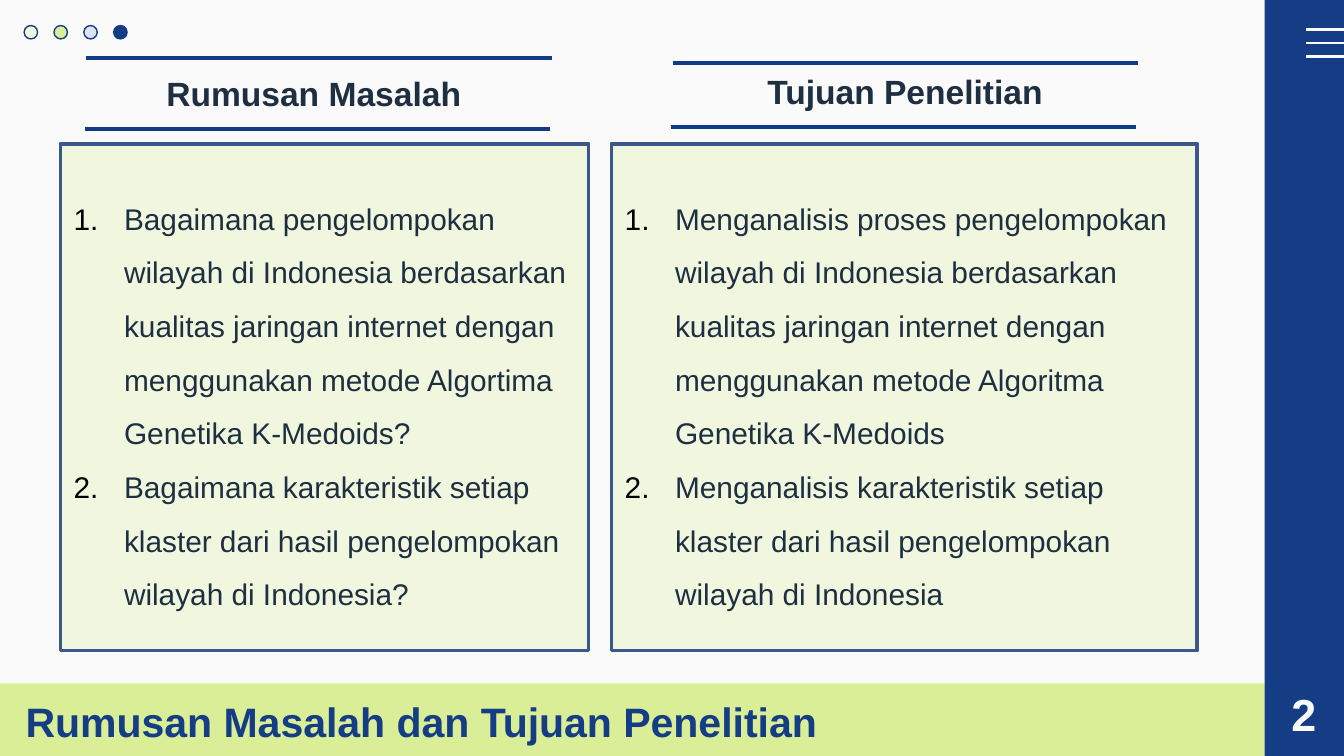
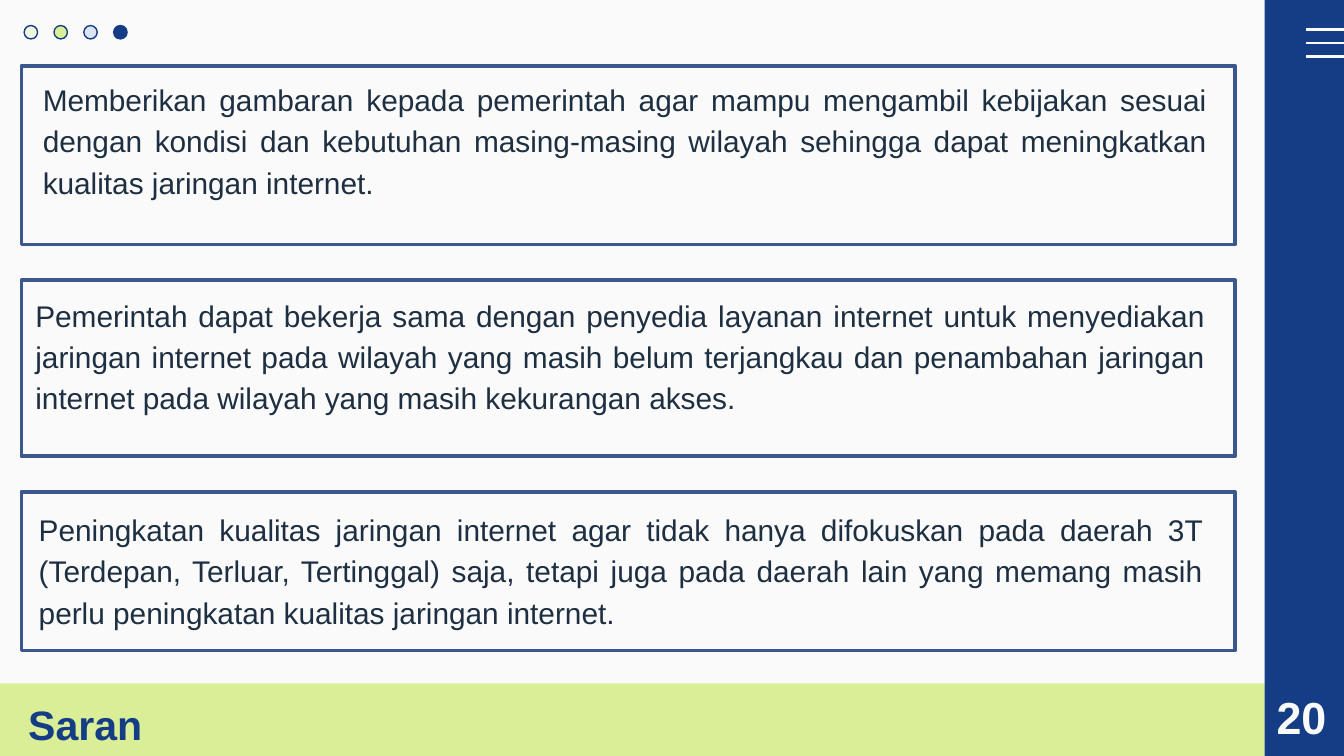
from dataclasses import dataclass

from lxml.etree import SubElement
from pptx import Presentation
from pptx.dml.color import RGBColor
from pptx.enum.shapes import MSO_CONNECTOR, MSO_SHAPE
from pptx.enum.text import MSO_ANCHOR, MSO_AUTO_SIZE, PP_ALIGN
from pptx.oxml.ns import qn
from pptx.util import Inches, Pt


@dataclass(frozen=True)
class Theme:
    font: str = "Arial"
    paper: str = "FAFAFA"
    navy: str = "153D85"
    rule: str = "123B85"
    border: str = "3A588E"
    lime: str = "DAEE97"
    pale: str = "F1F7DF"
    mist: str = "DCE4F2"
    ink: str = "1D2F41"
    black: str = "000000"
    body_size: int = 16
    heading_size: int = 18
    title_size: int = 22
    number_size: int = 24
    border_width: float = 2
    rule_width: float = 2.25
    menu_width: float = 1.5
    dot_width: float = 0.75


THEME = Theme()
COLUMNS = 100
ROWS = 56.25
CELL = Inches(10) / COLUMNS
INSET = 1
BAND_COLUMNS = 94.1
BAND_TOP = 50.85

QUESTIONS = {
    "title": ("Rumusan Masalah dan Tujuan Penelitian", (0.9, 50.4, 64.5, 6.1)),
    "number": ("2", (95.1, 50.6, 3.7, 5)),
    "panels": [
        {
            "heading": ("Rumusan Masalah", (10.7, 4.9, 25.3, 4)),
            "rules": [(6.4, 4.3), (6.3, 9.6)],
            "frame": (4.5, 10.7, 39.3, 37.7),
            "points": [
                "Bagaimana pengelompokan wilayah di Indonesia berdasarkan kualitas jaringan internet dengan menggunakan metode Algortima Genetika K-Medoids?",
                "Bagaimana karakteristik setiap klaster dari hasil pengelompokan wilayah di Indonesia?",
            ],
        },
        {
            "heading": ("Tujuan Penelitian", (54.7, 4.8, 25.3, 4)),
            "rules": [(50.05, 4.7), (49.9, 9.45)],
            "frame": (45.5, 10.7, 43.6, 37.7),
            "points": [
                "Menganalisis proses pengelompokan wilayah di Indonesia berdasarkan kualitas jaringan internet dengan menggunakan metode Algoritma Genetika K-Medoids",
                "Menganalisis karakteristik setiap klaster dari hasil pengelompokan wilayah di Indonesia",
            ],
        },
    ],
}

ADVICE = {
    "title": ("Saran", (1.1, 50.6, 45.4, 6.1)),
    "number": ("20", (94, 50.8, 6.3, 5)),
    "boxes": [
        (
            "Memberikan gambaran kepada pemerintah agar mampu mengambil kebijakan sesuai dengan kondisi dan kebutuhan masing-masing wilayah sehingga dapat meningkatkan kualitas jaringan internet.",
            (1.6, 4.9, 90.3, 13.3),
            (2.2, 4.7, 88.6, 7.3),
        ),
        (
            "Pemerintah dapat bekerja sama dengan penyedia layanan internet untuk menyediakan jaringan internet pada wilayah yang masih belum terjangkau dan penambahan jaringan internet pada wilayah yang masih kekurangan akses.",
            (1.6, 20.85, 90.3, 13.1),
            (1.65, 20.75, 89, 7.9),
        ),
        (
            "Peningkatan kualitas jaringan internet agar tidak hanya difokuskan pada daerah 3T (Terdepan, Terluar, Tertinggal) saja, tetapi juga pada daerah lain yang memang masih perlu peningkatan kualitas jaringan internet.",
            (1.6, 36.6, 90.3, 11.8),
            (1.9, 36.7, 88.6, 6.6),
        ),
    ],
}


def cells(*counts):
    return [int(count * CELL) for count in counts]


def color(value):
    return RGBColor.from_string(value)


def add_block(page, kind, place, fill=None, line=None, width=1):
    block = page.shapes.add_shape(kind, *cells(*place))
    block.shadow.inherit = False
    if fill:
        block.fill.solid()
        block.fill.fore_color.rgb = color(fill)
    else:
        block.fill.background()
    if line:
        block.line.color.rgb = color(line)
        block.line.width = Pt(width)
    else:
        block.line.fill.background()
    return block


def add_rule(page, left, top, length, line, width):
    rule = page.shapes.add_connector(
        MSO_CONNECTOR.STRAIGHT, *cells(left, top, left + length, top)
    )
    rule.line.color.rgb = color(line)
    rule.line.width = Pt(width)
    SubElement(rule.element.spPr, qn("a:effectLst"))


def write(para, text, size, ink, bold=False, align=PP_ALIGN.LEFT, spacing=1.0):
    para.alignment = align
    para.line_spacing = spacing
    span = para.add_run()
    span.text = text
    span.font.name = THEME.font
    span.font.size = Pt(size)
    span.font.bold = bold
    span.font.color.rgb = color(ink)


def pad(frame):
    frame.margin_left = frame.margin_right = cells(INSET)[0]
    frame.margin_top = frame.margin_bottom = cells(INSET)[0]


def add_text(page, text, place, size, ink, padded=False, **style):
    box = page.shapes.add_textbox(*cells(*place))
    frame = box.text_frame
    frame.word_wrap = True
    if padded:
        pad(frame)
    write(frame.paragraphs[0], text, size, ink, **style)


def number_point(para):
    properties = para._p.get_or_add_pPr()
    indent = cells(3.75)[0]
    properties.set("marL", str(indent))
    properties.set("indent", str(-indent))
    bullet_color = SubElement(properties, qn("a:buClr"))
    SubElement(bullet_color, qn("a:srgbClr"), val=THEME.black)
    SubElement(properties, qn("a:buFont"), typeface=THEME.font)
    SubElement(properties, qn("a:buAutoNum"), type="arabicPeriod")


def place_title(page, text, place):
    title = page.shapes.title
    title.left, title.top, title.width, title.height = cells(*place)
    frame = title.text_frame
    frame.word_wrap = True
    frame.auto_size = MSO_AUTO_SIZE.NONE
    frame.vertical_anchor = MSO_ANCHOR.BOTTOM
    pad(frame)
    write(frame.paragraphs[0], text, THEME.title_size, THEME.navy, bold=True, spacing=1.15)
    title.element.getparent().append(title.element)


def start_page(deck, content):
    page = deck.slides.add_slide(deck.slide_layouts[5])
    page.background.fill.solid()
    page.background.fill.fore_color.rgb = color(THEME.paper)
    band = (0, BAND_TOP, BAND_COLUMNS, ROWS - BAND_TOP)
    rail = (BAND_COLUMNS, 0, COLUMNS - BAND_COLUMNS, ROWS)
    add_block(page, MSO_SHAPE.RECTANGLE, band, THEME.lime)
    add_block(page, MSO_SHAPE.RECTANGLE, rail, THEME.navy)
    for step in range(3):
        add_rule(page, 97.2, 2.2 + step, 2.8, THEME.paper, THEME.menu_width)
    for step, fill in enumerate((THEME.pale, THEME.lime, THEME.mist, THEME.navy)):
        dot = (1.8 + 2.22 * step, 1.9, 1, 1)
        add_block(page, MSO_SHAPE.OVAL, dot, fill, THEME.navy, THEME.dot_width)
    place_title(page, *content["title"])
    add_text(page, *content["number"], THEME.number_size, THEME.paper, bold=True)
    return page


def add_panel(page, panel):
    block = add_block(
        page, MSO_SHAPE.RECTANGLE, panel["frame"], THEME.pale, THEME.border, THEME.border_width
    )
    frame = block.text_frame
    frame.word_wrap = True
    frame.vertical_anchor = MSO_ANCHOR.MIDDLE
    for index, point in enumerate(panel["points"]):
        para = frame.add_paragraph() if index else frame.paragraphs[0]
        write(para, point, THEME.body_size, THEME.ink, spacing=1.5)
        number_point(para)
    for left, top in panel["rules"]:
        add_rule(page, left, top, 34.65, THEME.rule, THEME.rule_width)
    add_text(
        page, *panel["heading"], THEME.heading_size, THEME.ink, bold=True, align=PP_ALIGN.CENTER
    )


def main():
    deck = Presentation()
    deck.slide_width, deck.slide_height = cells(COLUMNS, ROWS)

    page = start_page(deck, QUESTIONS)
    for panel in QUESTIONS["panels"]:
        add_panel(page, panel)

    page = start_page(deck, ADVICE)
    for text, frame, place in ADVICE["boxes"]:
        add_block(
            page, MSO_SHAPE.RECTANGLE, frame, line=THEME.border, width=THEME.border_width
        )
        add_text(
            page, text, place, THEME.body_size, THEME.ink,
            padded=True, align=PP_ALIGN.JUSTIFY, spacing=1.15,
        )

    deck.save("out.pptx")


if __name__ == "__main__":
    main()
